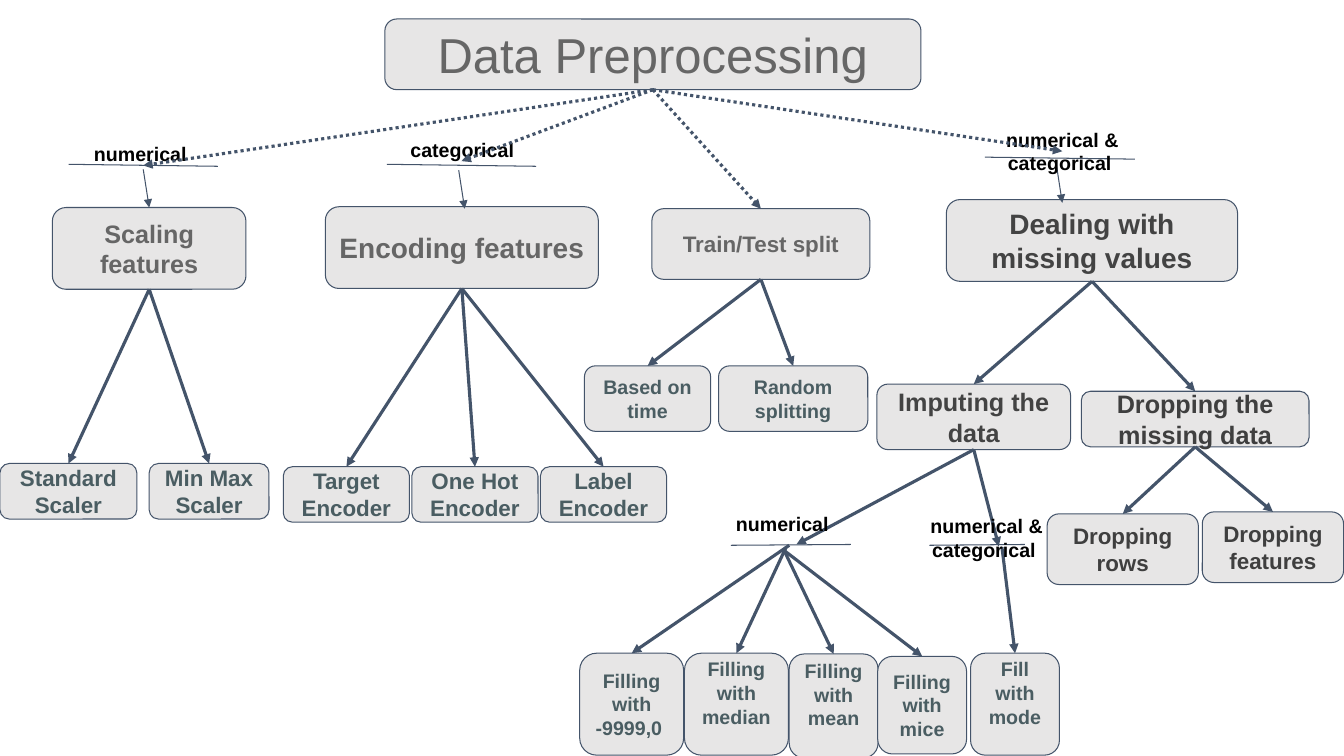
from pptx import Presentation
from pptx import util as u
from pptx.dml.color import RGBColor
from pptx.enum import dml, shapes, text
from pptx.oxml.ns import qn
from lxml import etree

FILL, LINE = "E7E6E6", "44546A"
GREY, TEAL, DARK, CHARCOAL = "666666", "4A5D62", "434343", "3F3F3F"
TOP, BOTTOM = 0, 2


def colour(value):
    """Return the colour for a hex string."""
    return RGBColor.from_string(value)


def write(shape, wording, size, hue, bold=True, anchor=text.MSO_ANCHOR.MIDDLE, bottom=0.25):
    """Put one centred paragraph into a shape."""
    frame = shape.text_frame
    frame.word_wrap = True
    frame.vertical_anchor = anchor
    frame.margin_left = frame.margin_right = frame.margin_top = u.Cm(0.25)
    frame.margin_bottom = u.Cm(bottom)
    paragraph = frame.paragraphs[0]
    paragraph.alignment = text.PP_ALIGN.CENTER
    run = paragraph.add_run()
    run.text = wording
    run.font.name = "Arial"
    run.font.size = u.Pt(size)
    run.font.bold = bold
    run.font.color.rgb = colour(hue)


def add_box(slide, wording, left, top, width, height, size, hue, **text_format):
    """Add a rounded box with its wording."""
    shape = slide.shapes.add_shape(
        shapes.MSO_SHAPE.ROUNDED_RECTANGLE, u.Cm(left), u.Cm(top), u.Cm(width), u.Cm(height))
    shape.shadow.inherit = False
    shape.fill.solid()
    shape.fill.fore_color.rgb = colour(FILL)
    shape.line.color.rgb = colour(LINE)
    shape.line.width = u.Pt(0.75)
    write(shape, wording, size, hue, **text_format)
    return shape


def add_label(slide, wording, left, top, width=3.35, height=1.6):
    """Add a data type label."""
    shape = slide.shapes.add_textbox(u.Cm(left), u.Cm(top), u.Cm(width), u.Cm(height))
    write(shape, wording, 14, "000000", anchor=text.MSO_ANCHOR.TOP)


def add_link(slide, start, end, width=2.25, dotted=False, arrow=True):
    """Draw a line between two ends, each a box or an (x, y) point."""
    x1, y1 = start if isinstance(start, tuple) else (0, 0)
    x2, y2 = end if isinstance(end, tuple) else (0, 0)
    connector = slide.shapes.add_connector(
        shapes.MSO_CONNECTOR.STRAIGHT, u.Cm(x1), u.Cm(y1), u.Cm(x2), u.Cm(y2))
    if not isinstance(start, tuple):
        connector.begin_connect(start, BOTTOM)
    if not isinstance(end, tuple):
        connector.end_connect(end, TOP)
    connector.line.color.rgb = colour(LINE)
    connector.line.width = u.Pt(width)
    if dotted:
        connector.line.dash_style = dml.MSO_LINE.ROUND_DOT
    properties = connector._element.spPr
    if arrow:
        etree.SubElement(properties.find(qn("a:ln")), qn("a:tailEnd"), type="triangle")
    etree.SubElement(properties, qn("a:effectLst"))


def add_branch(slide, parent, children, **line_format):
    """Link a parent to each of its children."""
    for child in children:
        add_link(slide, parent, child, **line_format)


def add_scaling(slide):
    """Add the scaling branch."""
    scaling = add_box(slide, "Scaling features", 1.32, 5.23, 4.88, 2.06, 18, GREY)
    standard = add_box(slide, "Standard Scaler", 0, 11.68, 3.45, 1.4, 16, TEAL)
    min_max = add_box(slide, "Min Max Scaler", 3.76, 11.68, 3.02, 1.4, 16, TEAL)
    add_branch(slide, scaling, [standard, min_max])
    add_link(slide, (3.61, 4.27), scaling, width=0.75)


def add_encoding(slide):
    """Add the encoding branch."""
    encoding = add_box(slide, "Encoding features", 8.2, 5.21, 6.88, 2.06, 20, GREY)
    encoders = [add_box(slide, f"{name} Encoder", 7.14 + 3.24 * column, 11.76, 3.18, 1.4, 16, TEAL)
                for column, name in enumerate(["Target", "One Hot", "Label"])]
    add_branch(slide, encoding, encoders)
    add_link(slide, (11.56, 4.29), (11.71, 5.26), width=0.75)


def add_split(slide):
    """Add the train and test branch and return its head."""
    split = add_box(slide, "Train/Test split", 16.43, 5.26, 5.49, 1.78, 16, GREY)
    by_time = add_box(slide, "Based on time", 14.73, 9.22, 3.18, 1.65, 14, TEAL)
    by_chance = add_box(slide, "Random splitting", 18.11, 9.22, 3.76, 1.65, 14, TEAL)
    add_branch(slide, split, [by_time, by_chance])
    return split


def add_missing(slide):
    """Add the missing values branch."""
    missing = add_box(slide, "Dealing with missing values", 23.85, 5.03, 7.34, 2.06, 20, DARK)
    dropping = add_box(slide, "Dropping the missing data", 27.25, 9.86, 5.74, 1.4, 18, CHARCOAL)
    features = add_box(slide, "Dropping features", 30.3, 12.9, 3.56, 1.78, 16, CHARCOAL)
    rows = add_box(slide, "Dropping rows", 26.39, 12.95, 3.81, 1.78, 16, CHARCOAL)
    imputing = add_box(slide, "Imputing the data", 22.1, 9.68, 4.88, 1.65, 18, DARK)
    add_branch(slide, missing, [imputing, dropping])
    add_branch(slide, dropping, [rows, features])
    add_branch(slide, imputing, [(20.07, 13.72), (25.17, 13.77)])
    add_link(slide, (26.62, 4.14), (26.77, 5.11), width=0.75)

    fillings = [
        ("Filling with -9999,0 ", 14.61, 16.46, 2.62, 2.57, 0.25, (19.89, 13.74)),
        ("Filling with median", 17.25, 16.46, 2.62, 2.57, 0.83, (19.81, 13.79)),
        ("Filling with mean", 19.89, 16.48, 2.24, 2.62, 0.83, (19.76, 13.87)),
        ("Filling with mice", 22.12, 16.54, 2.24, 2.46, 0.25, (19.76, 13.87)),
        ("Fill with mode", 24.46, 16.46, 2.24, 2.57, 0.83, (25.25, 13.79)),
    ]
    for wording, left, top, width, height, bottom, origin in fillings:
        filling = add_box(slide, wording, left, top, width, height, 14, TEAL, bottom=bottom)
        add_link(slide, origin, filling)


def add_data_types(slide):
    """Add the data type labels and the rules under them."""
    rules = [
        ((1.73, 4.14), (5.49, 4.19)),
        ((9.75, 4.14), (13.51, 4.19)),
        ((24.82, 3.96), (28.6, 4.01)),
        ((18.42, 13.74), (21.44, 13.72)),
        ((23.42, 13.74), (25.83, 13.72)),
    ]
    for start, end in rules:
        add_link(slide, start, end, width=0.75, arrow=False)
    add_label(slide, "numerical ", 1.93, 3.33)
    add_label(slide, "categorical ", 10.06, 3.23, width=3.18, height=1.4)
    add_label(slide, "numerical & categorical ", 25.1, 2.97)
    add_label(slide, "numerical ", 18.11, 12.65)
    add_label(slide, "numerical & categorical ", 23.19, 12.7)


def main():
    """Build the data preprocessing tree."""
    presentation = Presentation()
    presentation.slide_width = u.Cm(33.87)
    presentation.slide_height = u.Cm(19.05)
    slide = presentation.slides.add_slide(presentation.slide_layouts[6])
    root = add_box(slide, "Data Preprocessing", 9.7, 0.48, 13.51, 1.78, 35, GREY, bold=False)
    add_scaling(slide)
    add_encoding(slide)
    split = add_split(slide)
    add_missing(slide)
    add_data_types(slide)
    targets = [(3.61, 4.17), (11.63, 4.06), split, (26.77, 3.81)]
    add_branch(slide, root, targets, dotted=True)
    presentation.save("out.pptx")


if __name__ == "__main__":
    main()
